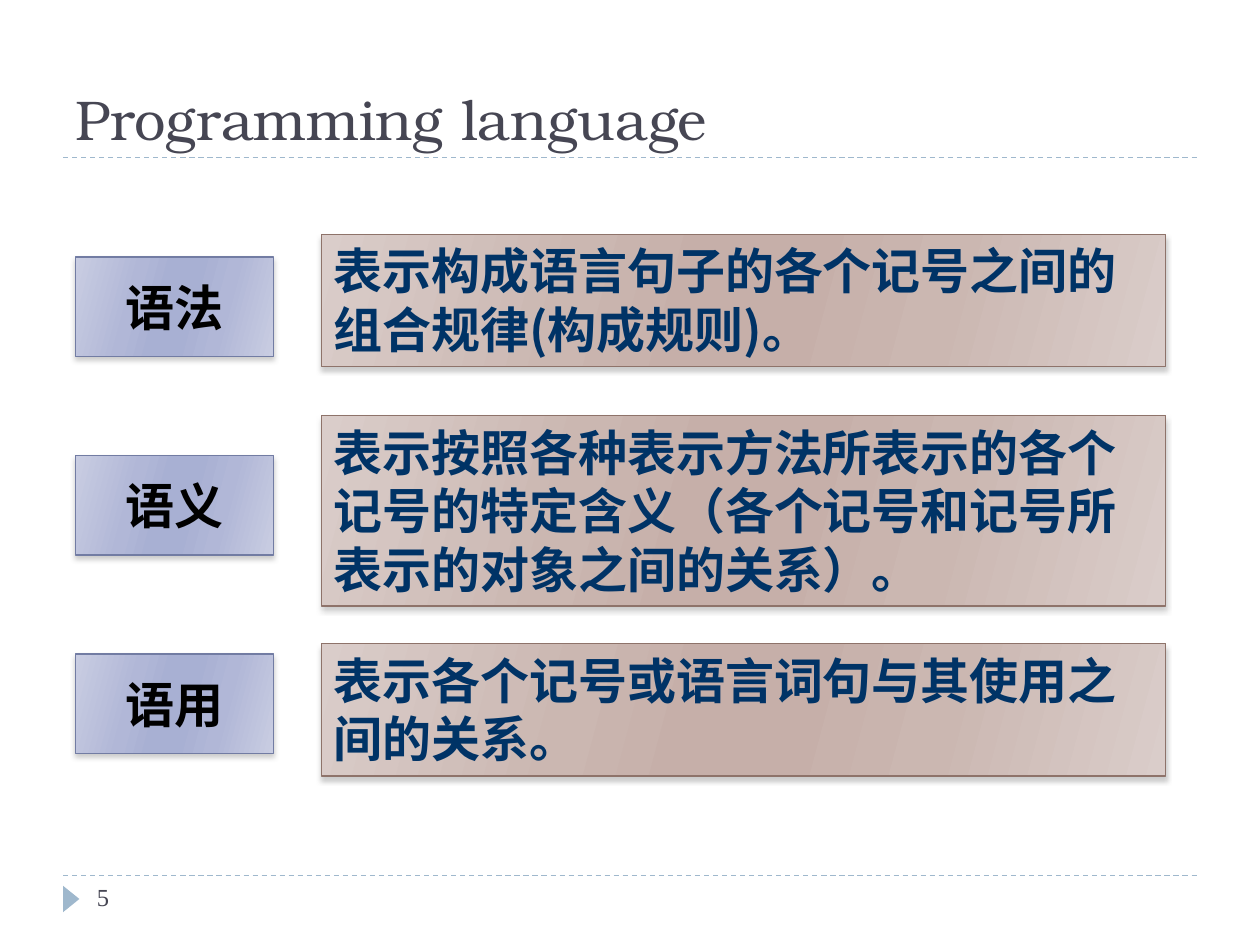
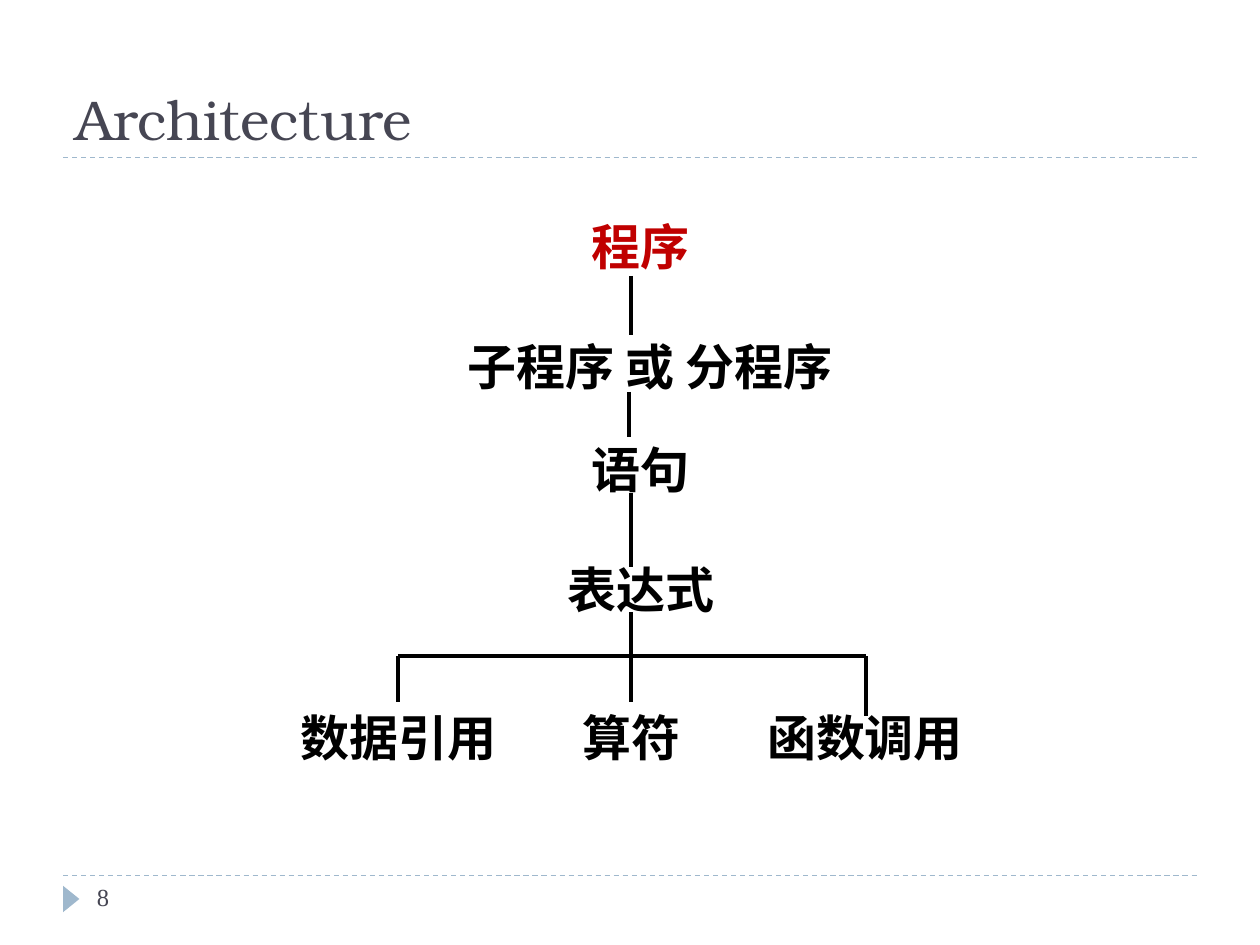
from dataclasses import dataclass
from typing import NamedTuple, Optional

from lxml.etree import SubElement
from pptx import Presentation
from pptx.dml.color import RGBColor
from pptx.enum.dml import MSO_LINE
from pptx.enum.shapes import MSO_CONNECTOR, MSO_SHAPE
from pptx.enum.text import MSO_ANCHOR as Anchor
from pptx.enum.text import MSO_AUTO_SIZE as Fit
from pptx.enum.text import PP_ALIGN as Align
from pptx.oxml.ns import qn
from pptx.util import Inches, Pt


class Style(NamedTuple):
    font: str
    size: int
    color: str
    bold: bool = False


class Paint(NamedTuple):
    edge: str
    light: str
    mid: str
    deep: str


@dataclass(frozen=True)
class Theme:
    accent: str = "9FB8CD"
    ink: str = "000000"
    shade: str = "808080"
    thin: float = 0.75
    thick: float = 2.25
    title: Style = Style("TeX Gyre Bonum", 32, "464653")
    number: Style = Style("Times New Roman", 14, "464653")
    term: Style = Style("Noto Sans CJK SC", 28, "000000", True)
    gloss: Style = Style("Noto Sans CJK SC", 28, "003366", True)
    root: Style = Style("Noto Sans CJK SC", 28, "C00000", True)
    blue: Paint = Paint("727CA3", "C9CDE2", "B1B7D7", "A8B0D3")
    brown: Paint = Paint("8E736A", "DACDCA", "CBB7B1", "C6AFA9")


THEME = Theme()


class Box(NamedTuple):
    left: float
    top: float
    width: float
    height: float

    def emu(self) -> list:
        return [Inches(v) for v in self]


class Entry(NamedTuple):
    term: str
    gloss: str
    top: float
    height: float


class Node(NamedTuple):
    text: str
    left: float
    top: float
    width: float
    style: Style = THEME.term


class Link(NamedTuple):
    x1: float
    y1: float
    x2: float
    y2: float
    goal: Optional[str] = None


ENTRIES = [
    Entry("语法", "表示构成语言句子的各个记号之间的组合规律(构成规则)。", 1.86, 1.05),
    Entry("语义", "表示按照各种表示方法所表示的各个记号的特定含义"
                "（各个记号和记号所表示的对象之间的关系）。", 3.3, 1.51),
    Entry("语用", "表示各个记号或语言词句与其使用之间的关系。", 5.11, 1.05),
]
TERM_TOP, TERM_STEP = 2.04, 1.575

LEAF = 5.57
NODES = [
    Node("程序", 4.44, 1.67, 1.28, THEME.root),
    Node("子程序 或 分程序", 2.45, 2.62, 5.42),
    Node("语句", 3.59, 3.44, 2.99),
    Node("表达式", 3.73, 4.39, 2.71),
    Node("数据引用", 1.45, LEAF, 3.42),
    Node("算符", 3.51, LEAF, 3.0),
    Node("函数调用", 5.58, LEAF, 2.57),
]
AXIS, BAR, WEST, EAST = 5.01, 5.21, 3.16, 6.87
LINKS = [
    Link(AXIS, 2.19, AXIS, 2.66),
    Link(4.99, 3.11, 4.99, 3.47),
    Link(AXIS, 3.91, AXIS, 4.5),
    Link(AXIS, 4.86, AXIS, LEAF, "算符"),
    Link(WEST, BAR, EAST, BAR),
    Link(WEST, BAR, WEST, LEAF, "数据引用"),
    Link(EAST, BAR, EAST, 5.68),
]


def rgb(code: str) -> RGBColor:
    return RGBColor.from_string(code)


def write(shape, text: str, style: Style, align=Align.LEFT,
          anchor=Anchor.TOP, wrap: bool = True, fit=Fit.NONE) -> None:
    frame = shape.text_frame
    frame.word_wrap = wrap
    frame.auto_size = fit
    frame.vertical_anchor = anchor
    para = frame.paragraphs[0]
    para.text = text
    para.alignment = align
    font = para.font
    font.name = style.font
    font.size = Pt(style.size)
    font.bold = style.bold
    font.color.rgb = rgb(style.color)
    props = para._p.pPr.find(qn("a:defRPr"))
    SubElement(props, qn("a:ea"), typeface=style.font)


def add_text(slide, box: Box, text: str, style: Style, **layout):
    shape = slide.shapes.add_textbox(*box.emu())
    write(shape, text, style, **layout)
    return shape


def add_line(slide, link: Link, color: str, width: float):
    ends = [Inches(v) for v in link[:4]]
    line = slide.shapes.add_connector(MSO_CONNECTOR.STRAIGHT, *ends)
    line.line.color.rgb = rgb(color)
    line.line.width = Pt(width)
    SubElement(line._element.spPr, qn("a:effectLst"))
    return line


def add_color(parent, code: str):
    return SubElement(parent, qn("a:srgbClr"), val=code)


def blend(shape, paint: Paint) -> None:
    """Fill with a slanted gradient, lightest at both ends."""
    shape.fill.gradient()
    grad = shape._element.spPr.find(qn("a:gradFill"))
    for child in list(grad):
        grad.remove(child)
    stops = SubElement(grad, qn("a:gsLst"))
    half = [(0, paint.light), (30, paint.mid), (45, paint.deep)]
    rest = [(55, paint.deep), (73, paint.mid), (100, paint.light)]
    for spot, code in half + rest:
        add_color(SubElement(stops, qn("a:gs"), pos=str(spot * 1000)), code)
    SubElement(grad, qn("a:lin"), ang=str(15 * 60000), scaled="0")


def cast(shape) -> None:
    """Give a soft shadow straight below the shape."""
    shape.shadow.inherit = False
    effects = shape._element.spPr.find(qn("a:effectLst"))
    outer = SubElement(effects, qn("a:outerShdw"), blurRad=str(Pt(3)),
                       dist=str(Pt(2)), dir=str(90 * 60000), rotWithShape="0")
    SubElement(add_color(outer, THEME.shade), qn("a:alpha"), val="40000")


def add_panel(slide, box: Box, paint: Paint):
    panel = slide.shapes.add_shape(MSO_SHAPE.RECTANGLE, *box.emu())
    blend(panel, paint)
    panel.line.color.rgb = rgb(paint.edge)
    panel.line.width = Pt(THEME.thin)
    cast(panel)
    return panel


def add_page(deck, title: str, number: int):
    """Add a slide with its rules, marker, title and page number."""
    slide = deck.slides.add_slide(deck.slide_layouts[6])
    for y in (6.95, 1.25):
        rule = add_line(slide, Link(0.5, y, 9.5, y), THEME.accent, THEME.thin)
        rule.line.dash_style = MSO_LINE.DASH
    mark = slide.shapes.add_shape(MSO_SHAPE.ISOSCELES_TRIANGLE,
                                  *Box(0.46, 7.07, 0.21, 0.13).emu())
    mark.rotation = 90
    mark.fill.solid()
    mark.fill.fore_color.rgb = rgb(THEME.accent)
    mark.line.fill.background()
    mark.shadow.inherit = False
    add_text(slide, Box(0.5, 0.17, 9, 1.08), title, THEME.title,
             anchor=Anchor.BOTTOM)
    add_text(slide, Box(0.67, 6.95, 2.17, 0.4), str(number), THEME.number)
    return slide


def draw_terms(deck) -> None:
    slide = add_page(deck, "Programming language", 5)
    for row, entry in enumerate(ENTRIES):
        top = TERM_TOP + row * TERM_STEP
        label = add_panel(slide, Box(0.6, top, 1.57, 0.79), THEME.blue)
        write(label, entry.term, THEME.term, align=Align.CENTER,
              anchor=Anchor.MIDDLE, wrap=False)
        panel = add_panel(slide, Box(2.55, entry.top, 6.7, entry.height),
                          THEME.brown)
        write(panel, entry.gloss, THEME.gloss, fit=Fit.SHAPE_TO_FIT_TEXT)


def draw_tree(deck) -> None:
    slide = add_page(deck, "Architecture", 8)
    boxes = {
        node.text: add_text(slide, Box(node.left, node.top, node.width, 0.57),
                            node.text, node.style, align=Align.CENTER,
                            fit=Fit.SHAPE_TO_FIT_TEXT)
        for node in NODES
    }
    for link in LINKS:
        line = add_line(slide, link, THEME.ink, THEME.thick)
        if link.goal:
            line.end_connect(boxes[link.goal], 0)


def main() -> None:
    deck = Presentation()
    deck.slide_width = Inches(10)
    deck.slide_height = Inches(7.5)
    draw_terms(deck)
    draw_tree(deck)
    deck.save("out.pptx")


if __name__ == "__main__":
    main()
